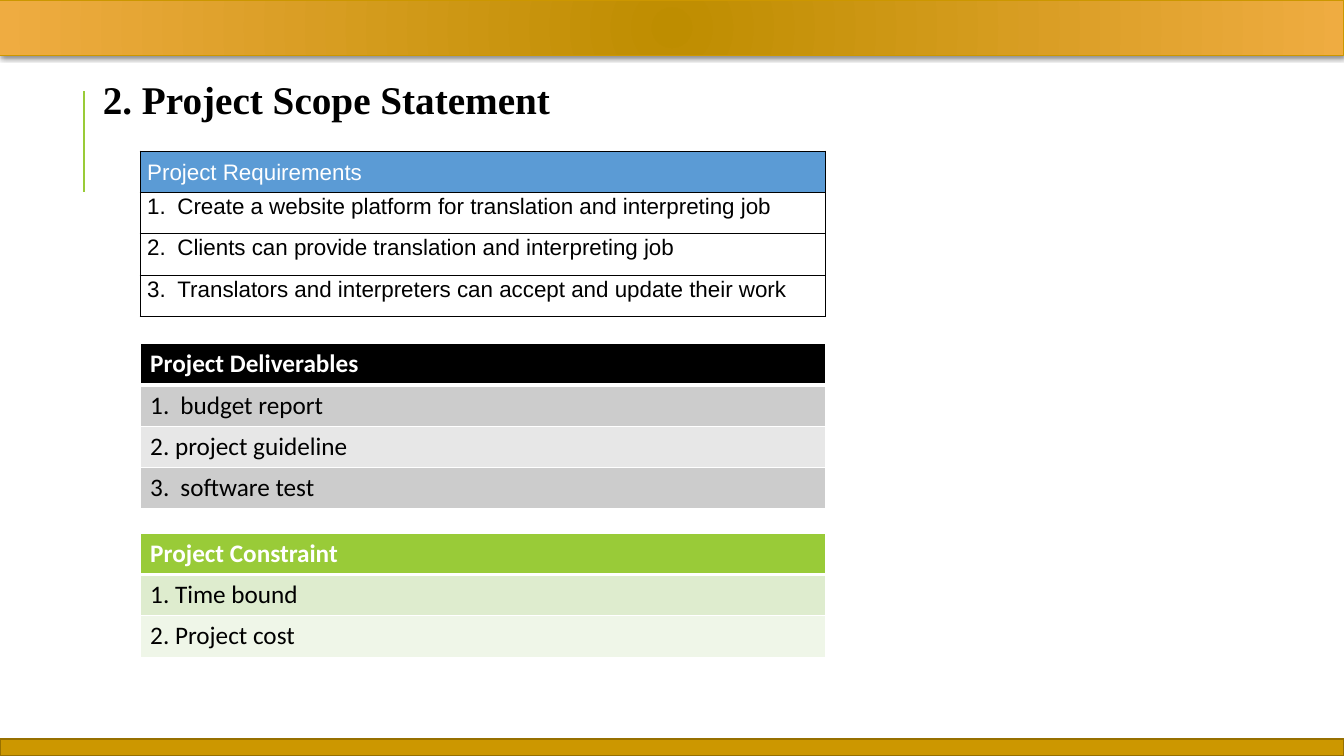
from lxml import etree
from pptx import Presentation
from pptx.dml.color import RGBColor
from pptx.enum.dml import MSO_LINE
from pptx.enum.shapes import MSO_CONNECTOR, MSO_SHAPE
from pptx.enum.text import MSO_ANCHOR, MSO_AUTO_SIZE, PP_ALIGN
from pptx.oxml import parse_xml
from pptx.oxml.ns import nsdecls, qn
from pptx.util import Inches, Pt

RECTANGLE = MSO_SHAPE.RECTANGLE
STRAIGHT = MSO_CONNECTOR.STRAIGHT
SOLID = MSO_LINE.SOLID
TOP, MIDDLE = MSO_ANCHOR.TOP, MSO_ANCHOR.MIDDLE
LEFT = PP_ALIGN.LEFT
GROW = MSO_AUTO_SIZE.SHAPE_TO_FIT_TEXT

BLACK = RGBColor(0x00, 0x00, 0x00)
WHITE = RGBColor(0xFF, 0xFF, 0xFF)
BLUE = RGBColor(0x5B, 0x9B, 0xD5)
GREEN = RGBColor(0x99, 0xCB, 0x38)
PALE_GREEN = RGBColor(0xDE, 0xEC, 0xCE)
FAINT_GREEN = RGBColor(0xEF, 0xF6, 0xE8)
GREY = RGBColor(0xCC, 0xCC, 0xCC)
LIGHT_GREY = RGBColor(0xE7, 0xE7, 0xE7)
GOLD = RGBColor(0xCC, 0x97, 0x00)
DARK_GOLD = RGBColor(0x97, 0x70, 0x00)

# Content
TITLE = "2. Project Scope Statement"
PLAIN = dict(font="Arial", size=16, spacing=1.07)
BANDED = dict(font="Calibri", size=18)
TABLES = [
    dict(top=1.5, header="Project Requirements", header_fill=BLUE, bands=[None],
         border=BLACK, header_rule=1, header_bold=False, inset=(0.07, 0), style=PLAIN,
         items=["1.\tCreate a website platform for translation and interpreting job",
                "2.\tClients can provide translation and interpreting job",
                "3.\tTranslators and interpreters can accept and update their work"]),
    dict(top=3.41, header="Project Deliverables", header_fill=BLACK,
         bands=[GREY, LIGHT_GREY], border=WHITE, header_rule=3, header_bold=True,
         inset=(0.1, 0.05), style=BANDED,
         items=["1.\tbudget report", "2. project guideline", "3.\tsoftware test"]),
    dict(top=5.29, header="Project Constraint", header_fill=GREEN,
         bands=[PALE_GREEN, FAINT_GREEN], border=WHITE, header_rule=3, header_bold=True,
         inset=(0.1, 0.05), style=BANDED,
         items=["1. Time bound", "2. Project cost"]),
]

# Layout
PAGE_WIDTH, PAGE_HEIGHT = 13.33, 7.5
TABLE_LEFT, TABLE_WIDTH, ROW_HEIGHT = 1.39, 6.8, 0.41
NUMBER_TAB = 0.3


def write_text(frame, text, font, size, color, bold=False, spacing=None):
    para = frame.paragraphs[0]
    para.alignment = LEFT
    if "\t" in text:
        tabs = etree.SubElement(para._p.get_or_add_pPr(), qn("a:tabLst"))
        etree.SubElement(tabs, qn("a:tab"), pos=str(Inches(NUMBER_TAB)), algn="l")
    if spacing:
        para.line_spacing = spacing
    span = para.add_run()
    span.text = text
    span.font.name = font
    span.font.size = Pt(size)
    span.font.bold = bold
    span.font.color.rgb = color


def add_bar(page, top, height, line_color, line_width):
    bar = page.shapes.add_shape(RECTANGLE, 0, Inches(top), Inches(PAGE_WIDTH), Inches(height))
    bar.shadow.inherit = False
    bar.line.color.rgb = line_color
    bar.line.width = Pt(line_width)
    return bar


def set_borders(cell, color, top_width, bottom_width):
    widths = {"a:lnL": 1, "a:lnR": 1, "a:lnT": top_width, "a:lnB": bottom_width}
    for tag, width in widths.items():
        edge = etree.SubElement(cell._tc.get_or_add_tcPr(), qn(tag), w=str(Pt(width)))
        fill = etree.SubElement(edge, qn("a:solidFill"))
        etree.SubElement(fill, qn("a:srgbClr"), val=str(color))


def add_list_table(page, top, header, header_fill, bands, border, header_rule,
                   header_bold, inset, style, items):
    texts = [header] + items
    frame = page.shapes.add_table(len(texts), 1, Inches(TABLE_LEFT), Inches(top),
                                  Inches(TABLE_WIDTH), Inches(ROW_HEIGHT * len(texts)))
    table = frame.table
    table.first_row = table.horz_banding = False
    for index, text in enumerate(texts):
        is_header = index == 0
        table.rows[index].height = Inches(ROW_HEIGHT)
        cell = table.cell(index, 0)
        cell.margin_left = cell.margin_right = Inches(inset[0])
        cell.margin_top = cell.margin_bottom = Inches(inset[1])
        cell.vertical_anchor = MIDDLE if is_header and not inset[1] else TOP
        set_borders(cell, border, header_rule if index == 1 else 1,
                    header_rule if is_header else 1)
        fill = header_fill if is_header else bands[(index - 1) % len(bands)]
        if fill is None:
            cell.fill.background()
        else:
            cell.fill.solid()
            cell.fill.fore_color.rgb = fill
        write_text(cell.text_frame, text, color=WHITE if is_header else BLACK,
                   bold=is_header and header_bold, **style)


def main():
    deck = Presentation()
    deck.slide_width, deck.slide_height = Inches(PAGE_WIDTH), Inches(PAGE_HEIGHT)
    page = deck.slides.add_slide(deck.slide_layouts[5])

    # Green accent line
    accent = page.shapes.add_connector(STRAIGHT, Inches(0.83), Inches(1.9),
                                       Inches(0.83), Inches(0.9))
    accent.line.color.rgb = GREEN
    accent.line.width = Pt(1.5)
    accent.line.dash_style = SOLID
    etree.SubElement(accent._element.spPr, qn("a:effectLst"))

    # Top bar: radial gradient and soft shadow
    header_bar = add_bar(page, 0, 0.55, GOLD, 0.75)
    properties = header_bar._element.spPr
    properties.find(qn("a:prstGeom")).addnext(parse_xml(
        f'<a:gradFill {nsdecls("a")} rotWithShape="1"><a:gsLst>'
        '<a:gs pos="0"><a:srgbClr val="BE8D00"/></a:gs>'
        '<a:gs pos="100000"><a:srgbClr val="EFAC41"/></a:gs></a:gsLst>'
        '<a:path path="circle"><a:fillToRect l="50000" t="50000" r="50000" b="50000"/>'
        '</a:path></a:gradFill>'))
    shadow = etree.SubElement(properties.find(qn("a:effectLst")), qn("a:outerShdw"),
                              blurRad=str(Pt(4)), dist=str(Pt(1)), dir="5400000")
    shade = etree.SubElement(shadow, qn("a:srgbClr"), val=str(BLACK))
    etree.SubElement(shade, qn("a:alpha"), val="50000")

    # Bottom bar
    footer_bar = add_bar(page, 7.33, 0.17, DARK_GOLD, 1.25)
    footer_bar.fill.solid()
    footer_bar.fill.fore_color.rgb = GOLD

    # Title
    title = page.shapes.title
    title.left, title.top = Inches(0.92), Inches(0.7)
    title.width, title.height = Inches(7.68), Inches(0.57)
    title.text_frame.word_wrap = True
    title.text_frame.auto_size = GROW
    title.text_frame.vertical_anchor = TOP
    write_text(title.text_frame, TITLE, font="Times New Roman", size=28,
               color=BLACK, bold=True)

    # Tables
    for content in TABLES:
        add_list_table(page, **content)

    deck.save("out.pptx")


if __name__ == "__main__":
    main()
